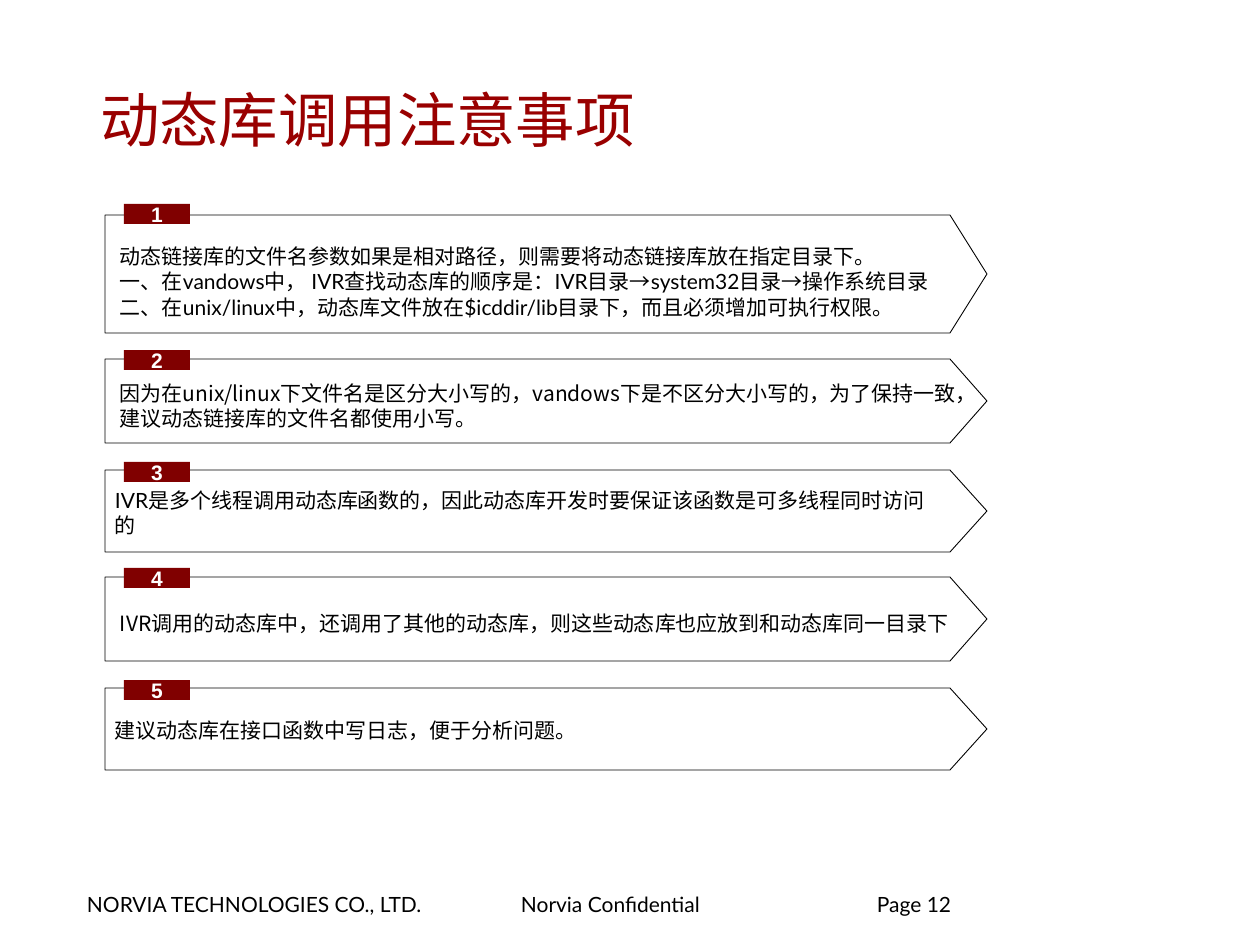
from dataclasses import dataclass
from itertools import groupby

from lxml import etree
from pptx import Presentation
from pptx.dml.color import RGBColor
from pptx.enum.shapes import MSO_SHAPE
from pptx.enum.text import MSO_ANCHOR, PP_ALIGN
from pptx.oxml.ns import qn
from pptx.util import Emu, Pt

RECTANGLE = MSO_SHAPE.RECTANGLE
TOP, MIDDLE = MSO_ANCHOR.TOP, MSO_ANCHOR.MIDDLE
LEFT, CENTER = PP_ALIGN.LEFT, PP_ALIGN.CENTER

BLACK = RGBColor(0x00, 0x00, 0x00)
WHITE = RGBColor(0xFF, 0xFF, 0xFF)
TITLE_RED = RGBColor(0x99, 0x00, 0x00)
BADGE_RED = RGBColor(0x80, 0x00, 0x00)

LATO, ARIAL, CJK = "Lato", "Arial", "Noto Sans CJK SC"
ARROW = "→"

PANEL_LEFT, PANEL_SHOULDER, PANEL_TIP = 105, 950, 987
BADGE_LEFT, BADGE_WIDTH, BADGE_HEIGHT = 124, 66, 20


@dataclass(frozen=True)
class Box:
    left: int
    top: int
    width: int
    height: int


@dataclass(frozen=True)
class Note:
    top: int
    height: int
    badge_top: int
    body: Box
    lines: tuple[str, ...]
    font: str = LATO


NOTES = (
    Note(215, 118, 204, Box(120, 231, 828, 101), (
        "动态链接库的文件名参数如果是相对路径，则需要将动态链接库放在指定目录下。",
        "一、在vandows中， IVR查找动态库的顺序是：IVR目录→system32目录→操作系统目录",
        "二、在unix/linux中，动态库文件放在$icddir/lib目录下，而且必须增加可执行权限。",
    )),
    Note(359, 84, 350, Box(120, 381, 848, 50), (
        "因为在unix/linux下文件名是区分大小写的，vandows下是不区分大小写的，"
        "为了保持一致，建议动态链接库的文件名都使用小写。",
    ), CJK),
    Note(470, 82, 462, Box(115, 488, 828, 50), (
        "IVR是多个线程调用动态库函数的，因此动态库开发时要保证该函数是可多线程同时访问的",
    )),
    Note(577, 84, 568, Box(120, 611, 848, 25), (
        "IVR调用的动态库中，还调用了其他的动态库，则这些动态库也应放到和动态库同一目录下",
    ), CJK),
    Note(688, 82, 680, Box(115, 718, 828, 25), (
        "建议动态库在接口函数中写日志，便于分析问题。",
    )),
)


def px(length: int) -> Emu:
    return Emu(round(length * 914400 / 126))


def place(box: Box) -> tuple[Emu, Emu, Emu, Emu]:
    return px(box.left), px(box.top), px(box.width), px(box.height)


def write(frame, *lines: str, font: str = LATO, size: int = 12,
          color: RGBColor = BLACK, bold: bool = False, align=LEFT,
          anchor=TOP, inset: tuple[int, int] = (0, 0),
          spacing: float = 1.0) -> None:
    frame.word_wrap = True
    frame.vertical_anchor = anchor
    frame.margin_left = frame.margin_right = px(inset[0])
    frame.margin_top = frame.margin_bottom = px(inset[1])
    for index, line in enumerate(lines):
        paragraph = frame.add_paragraph() if index else frame.paragraphs[0]
        paragraph.alignment = align
        paragraph.line_spacing = spacing
        for is_arrow, characters in groupby(line, lambda c: c == ARROW):
            run = paragraph.add_run()
            run.text = "".join(characters)
            run.font.name = ARIAL if is_arrow else font
            run.font.size = Pt(size)
            run.font.bold = bold
            run.font.color.rgb = color
            east_asian = etree.SubElement(run.font._element, qn("a:ea"))
            east_asian.set("typeface", CJK)


def add_label(shapes, box: Box, *lines: str, **text_format) -> None:
    write(shapes.add_textbox(*place(box)).text_frame, *lines, **text_format)


def add_panel(shapes, top: int, height: int) -> None:
    bottom = top + height
    outline = shapes.build_freeform(px(PANEL_LEFT), px(top))
    outline.add_line_segments([
        (px(PANEL_SHOULDER), px(top)),
        (px(PANEL_TIP), px(top + height // 2)),
        (px(PANEL_SHOULDER), px(bottom)),
        (px(PANEL_LEFT), px(bottom)),
    ], close=True)
    panel = outline.convert_to_shape()
    panel.shadow.inherit = False
    panel.fill.background()
    panel.line.color.rgb = BLACK
    panel.line.width = Pt(0.5)


def add_badge(shapes, top: int, number: int) -> None:
    box = Box(BADGE_LEFT, top, BADGE_WIDTH, BADGE_HEIGHT)
    badge = shapes.add_shape(RECTANGLE, *place(box))
    badge.shadow.inherit = False
    badge.fill.solid()
    badge.fill.fore_color.rgb = BADGE_RED
    badge.line.fill.background()
    write(badge.text_frame, str(number), font=ARIAL, color=WHITE, bold=True,
          align=CENTER, anchor=MIDDLE)


def add_note(shapes, number: int, note: Note) -> None:
    add_panel(shapes, note.top, note.height)
    add_label(shapes, note.body, *note.lines, font=note.font, anchor=MIDDLE)
    add_badge(shapes, note.badge_top, number)


def main() -> None:
    deck = Presentation()
    deck.slide_width, deck.slide_height = px(1260), px(945)
    shapes = deck.slides.add_slide(deck.slide_layouts[6]).shapes

    add_label(shapes, Box(76, 887, 389, 37), "NORVIA TECHNOLOGIES CO., LTD.",
              inset=(11, 5))
    add_label(shapes, Box(510, 887, 275, 37), "Norvia Confidential",
              inset=(11, 5))
    add_label(shapes, Box(877, 895, 289, 63), "Page 12", spacing=0.85)
    add_label(shapes, Box(89, 59, 1067, 120), "动态库调用注意事项",
              size=34, color=TITLE_RED, anchor=MIDDLE, inset=(11, 5))
    for number, note in enumerate(NOTES, start=1):
        add_note(shapes, number, note)

    deck.save("out.pptx")


if __name__ == "__main__":
    main()
